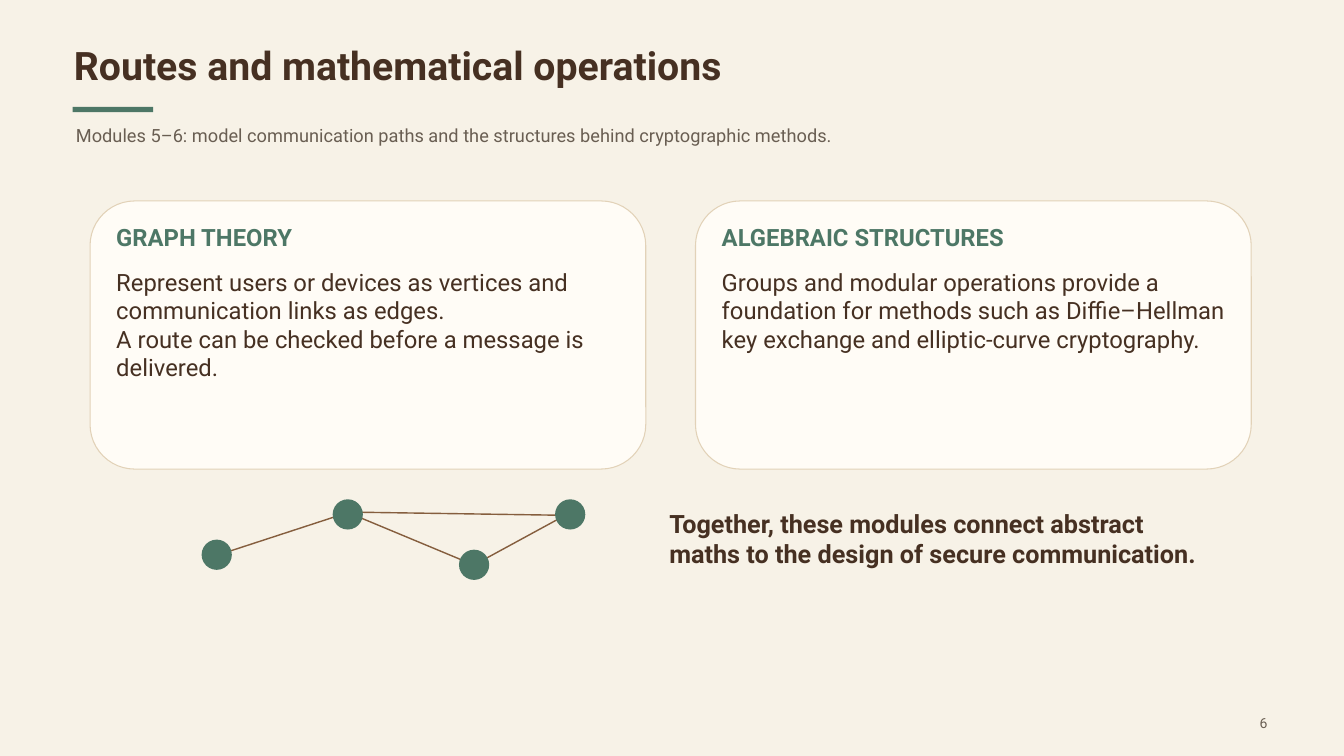
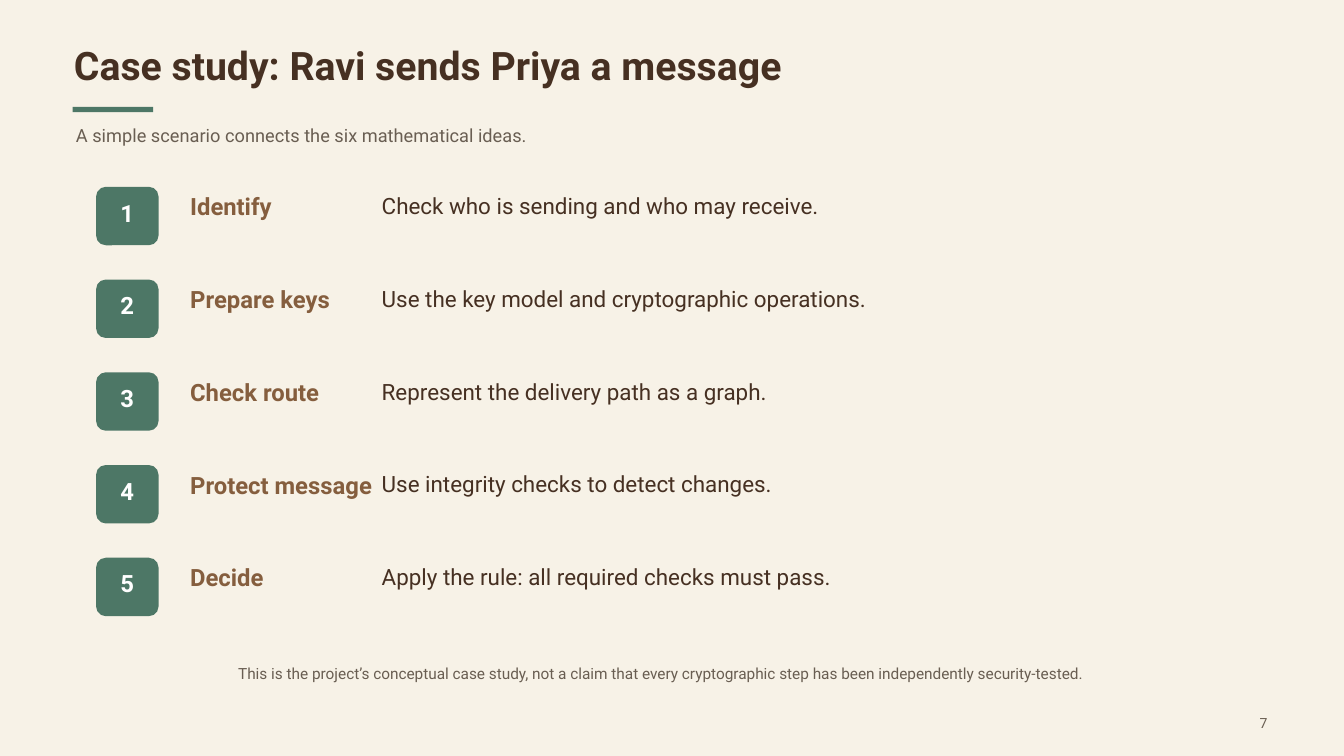
"""Build two slides on the mathematics of secure communication."""
from lxml import etree
from pptx import Presentation
from pptx.dml.color import RGBColor
from pptx.enum.shapes import MSO_CONNECTOR, MSO_SHAPE
from pptx.enum.text import PP_ALIGN
from pptx.oxml.ns import qn
from pptx.util import Inches, Pt

LEFT, CENTER, RIGHT = PP_ALIGN.LEFT, PP_ALIGN.CENTER, PP_ALIGN.RIGHT
RECTANGLE, ROUNDED, OVAL = MSO_SHAPE.RECTANGLE, MSO_SHAPE.ROUNDED_RECTANGLE, MSO_SHAPE.OVAL
STRAIGHT = MSO_CONNECTOR.STRAIGHT

FONT = "Roboto"
CREAM, IVORY, SAND, WHITE = "F7F2E7", "FFFCF6", "E2D2B8", "FFFFFF"
GREEN, BROWN, DARK, GREY = "4D7766", "855E3E", "463022", "695E52"

ROUTES = {
    "title": "Routes and mathematical operations",
    "subtitle": "Modules 5–6: model communication paths and the structures behind cryptographic methods.",
    "number": 6,
}
CARDS = [
    ("GRAPH THEORY", [
        "Represent users or devices as vertices and communication links as edges.",
        "A route can be checked before a message is delivered.",
    ]),
    ("ALGEBRAIC STRUCTURES", [
        "Groups and modular operations provide a foundation for methods such as "
        "Diffie–Hellman key exchange and elliptic-curve cryptography.",
    ]),
]
SUMMARY = "Together, these modules connect abstract maths to the design of secure communication."
VERTICES = [(3, 8.03), (4.95, 7.43), (6.83, 8.18), (8.26, 7.43)]
VERTEX_SIZE = 0.45
EDGES = [
    (3.21, 8.27, 5.2, 7.62),
    (5.16, 7.62, 7.08, 8.42),
    (7.03, 8.42, 8.5, 7.62),
    (5.16, 7.62, 8.5, 7.67),
]

CASE_STUDY = {
    "title": "Case study: Ravi sends Priya a message",
    "subtitle": "A simple scenario connects the six mathematical ideas.",
    "number": 7,
}
STEPS = [
    ("Identify", "Check who is sending and who may receive."),
    ("Prepare keys", "Use the key model and cryptographic operations."),
    ("Check route", "Represent the delivery path as a graph."),
    ("Protect message", "Use integrity checks to detect changes."),
    ("Decide", "Apply the rule: all required checks must pass."),
]
CAVEAT = ("This is the project’s conceptual case study, not a claim that every "
          "cryptographic step has been independently security-tested.")


def color(value):
    return RGBColor.from_string(value)


def add_text(slide, box, paragraphs, size, text_color, bold=False, align=LEFT):
    frame = slide.shapes.add_textbox(*map(Inches, box)).text_frame
    frame.word_wrap = True
    frame.margin_left = frame.margin_right = frame.margin_top = frame.margin_bottom = 0
    frame.text = "\n".join(paragraphs)
    for paragraph in frame.paragraphs:
        paragraph.alignment = align
        paragraph.line_spacing = Pt(size * 1.2)
        font = paragraph.font
        font.name, font.size, font.bold = FONT, Pt(size), bold
        font.color.rgb = color(text_color)


def add_block(slide, kind, box, fill, line=None):
    shape = slide.shapes.add_shape(kind, *map(Inches, box))
    shape.shadow.inherit = False
    shape.fill.solid()
    shape.fill.fore_color.rgb = color(fill)
    if line:
        shape.line.color.rgb = color(line)
        shape.line.width = Pt(1.13)
    else:
        shape.line.fill.background()


def add_edge(slide, ends):
    edge = slide.shapes.add_connector(STRAIGHT, *map(Inches, ends))
    edge.line.color.rgb = color(BROWN)
    edge.line.width = Pt(1.5)
    etree.SubElement(edge._element.spPr, qn("a:effectLst"))


def add_slide(presentation, heading):
    slide = presentation.slides.add_slide(presentation.slide_layouts[6])
    slide.background.fill.solid()
    slide.background.fill.fore_color.rgb = color(CREAM)
    add_text(slide, (1.1, 0.62, 17.76, 0.73), [heading["title"]], 42, DARK, bold=True)
    add_block(slide, RECTANGLE, (1.08, 1.59, 1.2, 0.08), GREEN)
    add_text(slide, (1.13, 1.85, 17.46, 0.53), [heading["subtitle"]], 19.5, GREY)
    add_text(slide, (18.21, 10.63, 0.65, 0.2), [str(heading["number"])], 15, GREY, align=RIGHT)
    return slide


def build_routes(presentation):
    slide = add_slide(presentation, ROUTES)
    for index, (label, body) in enumerate(CARDS):
        left = 1.34 + index * 9.01
        add_block(slide, ROUNDED, (left, 2.99, 8.27, 3.99), IVORY, SAND)
        add_text(slide, (left + 0.39, 3.32, 7.5, 0.43), [label], 25.5, GREEN, bold=True)
        add_text(slide, (left + 0.39, 3.98, 7.5, 2.71), body, 25.5, DARK)
    for ends in EDGES:
        add_edge(slide, ends)
    for corner in VERTICES:
        add_block(slide, OVAL, (*corner, VERTEX_SIZE, VERTEX_SIZE), GREEN)
    add_text(slide, (9.96, 7.56, 7.86, 1.18), [SUMMARY], 27, DARK, bold=True)


def build_case_study(presentation):
    slide = add_slide(presentation, CASE_STUDY)
    for index, (name, action) in enumerate(STEPS):
        top = 2.78 + index * 1.38
        add_block(slide, ROUNDED, (1.43, top, 0.93, 0.87), GREEN)
        add_text(slide, (1.48, top + 0.17, 0.83, 0.43), [str(index + 1)], 25.5, WHITE,
                 bold=True, align=CENTER)
        add_text(slide, (2.83, top + 0.08, 2.9, 0.5), [name], 25.5, BROWN, bold=True)
        add_text(slide, (5.68, top + 0.08, 12.21, 0.65), [action], 24, DARK)
    add_text(slide, (1.55, 9.88, 16.56, 0.43), [CAVEAT], 16.5, GREY, align=CENTER)


def main():
    presentation = Presentation()
    presentation.slide_width = Inches(20)
    presentation.slide_height = Inches(11.25)
    build_routes(presentation)
    build_case_study(presentation)
    presentation.save("out.pptx")


if __name__ == "__main__":
    main()
